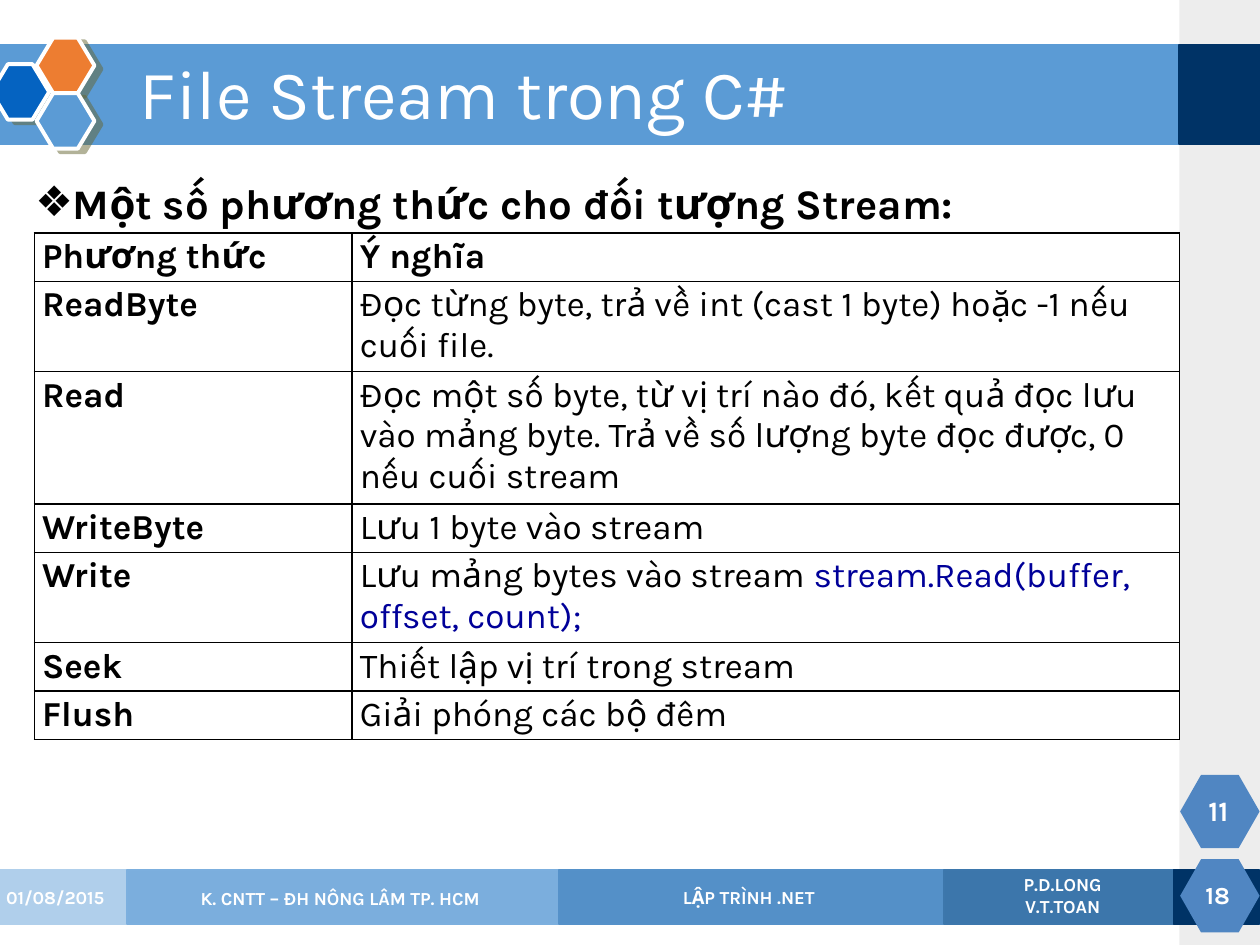
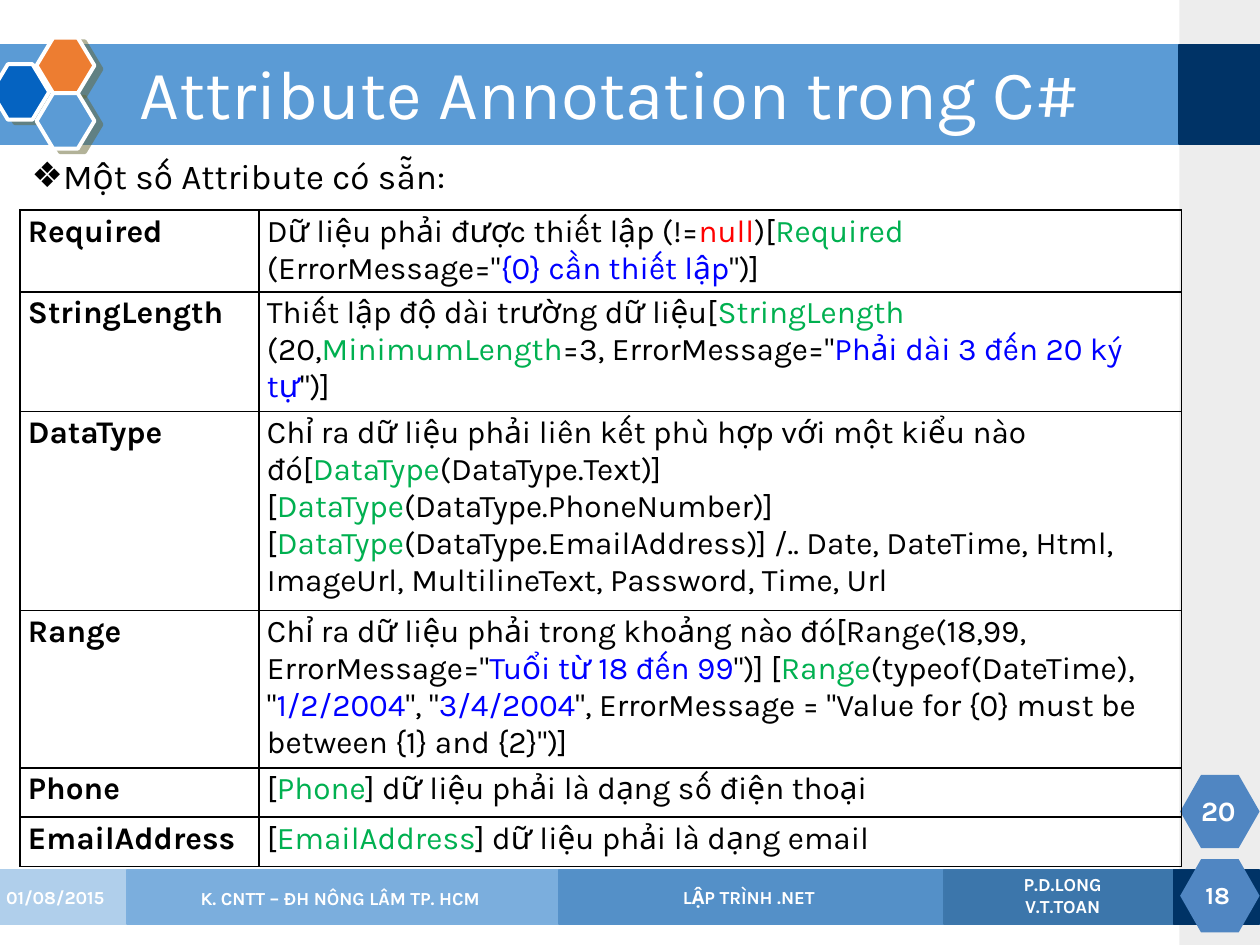
from lxml import etree
from pptx import Presentation
from pptx.dml.color import RGBColor
from pptx.enum.shapes import MSO_SHAPE
from pptx.enum.text import MSO_ANCHOR, MSO_AUTO_SIZE, PP_ALIGN
from pptx.oxml.ns import qn
from pptx.util import Pt

RECT = MSO_SHAPE.RECTANGLE
HEXAGON = MSO_SHAPE.HEXAGON
MIDDLE = MSO_ANCHOR.MIDDLE
TOP = MSO_ANCHOR.TOP
LEFT = PP_ALIGN.LEFT
CENTER = PP_ALIGN.CENTER
NO_AUTOFIT = MSO_AUTO_SIZE.NONE

FONT = "Karla"
WHITE = "FFFFFF"
BLACK = "000000"
BAND_BLUE = "5B9BD5"
NAVY = "003366"
BADGE_BLUE = "5086C2"
CALL_NAVY = "000099"
RED = "FF0000"
GREEN = "00B050"
BLUE = "0000FF"

BAND_TOP, BAND_HEIGHT = 25.5, 56.9
FOOTER_TOP, FOOTER_HEIGHT = 497.2, 30.8
SIDE_LEFT, SIDE_WIDTH = 673.9, 46.1

FOOTER_STRIPS = [
    (-1.4, 721.4, "7CAFDE", 60, "B0CFEB"),
    (72.7, 645.9, "478FD1", 50, "7CAFDE"),
    (319.4, 400.6, "2E74B4", 50, "5591C9"),
    (539.3, 180, "255D8F", 50, "3D77AC"),
]
LOGO_CELLS = [(-5, 36.7, "0563C1"), (20.9, 21.6, "ED7D31"), (20.9, 53.3, BAND_BLUE)]
BADGE_TOPS = [491, 442.8]

STREAM_METHODS = [
    ("Phương thức", "Ý nghĩa"),
    ("ReadByte", "Đọc từng byte, trả về int (cast 1 byte) hoặc -1 nếu cuối file."),
    ("Read", "Đọc một số byte, từ vị trí nào đó, kết quả đọc lưu vào mảng byte. "
             "Trả về số lượng byte đọc được, 0 nếu cuối stream"),
    ("WriteByte", "Lưu 1 byte vào stream"),
    ("Write", ["Lưu mảng bytes vào stream ",
               ("stream.Read(buffer, offset, count);", CALL_NAVY)]),
    ("Seek", "Thiết lập vị trí trong stream"),
    ("Flush", "Giải phóng các bộ đêm"),
]
ATTRIBUTES = [
    ("Required", ["Dữ liệu phải được thiết lập (!=", ("null", RED), ")[",
                  ("Required", GREEN), ' (ErrorMessage="',
                  ("{0} cần thiết lập", BLUE), '")]']),
    ("StringLength", ["Thiết lập độ dài trường dữ liệu[", ("StringLength", GREEN),
                      " (20,", ("MinimumLength", GREEN), '=3, ErrorMessage="',
                      ("Phải dài 3 đến 20 ký tự", BLUE), '")]']),
    ("DataType", ["Chỉ ra dữ liệu phải liên kết phù hợp với một kiểu nào đó[",
                  ("DataType", GREEN), "(DataType.Text)] [",
                  ("DataType", GREEN), "(DataType.PhoneNumber)] [",
                  ("DataType", GREEN),
                  "(DataType.EmailAddress)] /.. Date, DateTime, Html, ImageUrl, "
                  "MultilineText, Password, Time, Url"]),
    ("Range", ['Chỉ ra dữ liệu phải trong khoảng nào đó[Range(18,99, ErrorMessage="',
               ("Tuổi từ 18 đến 99", BLUE), '")] [', ("Range", GREEN),
               '(typeof(DateTime), "', ("1/2/2004", BLUE), '", "', ("3/4/2004", BLUE),
               '", ErrorMessage = "Value for {0} must be between {1} and {2}")]']),
    ("Phone", ["[", ("Phone", GREEN), "] dữ liệu phải là dạng số điện thoại"]),
    ("EmailAddress", ["[", ("EmailAddress", GREEN), "] dữ liệu phải là dạng email"]),
]


def rgb(color):
    return RGBColor.from_string(color)


def add_xml(parent, tag, **attributes):
    return etree.SubElement(parent, qn(tag), attributes)


def style_run(run, size, color, bold=False):
    run.font.name = FONT
    run.font.size = Pt(size)
    run.font.bold = bold
    run.font.color.rgb = rgb(color)


def add_block(slide, kind, box, color, alpha=None, outline=None, outline_width=1):
    block = slide.shapes.add_shape(kind, *map(Pt, box))
    block.shadow.inherit = False
    block.fill.solid()
    block.fill.fore_color.rgb = rgb(color)
    if alpha:
        tint = block.element.spPr.find(".//" + qn("a:srgbClr"))
        add_xml(tint, "a:alpha", val=str(alpha * 1000))
    if outline:
        block.line.color.rgb = rgb(outline)
        block.line.width = Pt(outline_width)
    else:
        block.line.fill.background()
    return block


def add_logo_cell(slide, left, top, color):
    cell = add_block(slide, HEXAGON, (left, top, 33.1, 31.7), color,
                     outline=WHITE, outline_width=2.25)
    cell.adjustments[0] = 0.3
    effects = cell.element.spPr.find(qn("a:effectLst"))
    shadow = add_xml(effects, "a:outerShdw", blurRad="0", dist=str(Pt(4.5)),
                     dir=str(27 * 60000), algn="ctr", rotWithShape="0")
    add_xml(add_xml(shadow, "a:srgbClr", val="666633"), "a:alpha", val="50000")


def add_label(slide, box, text, size=10.5, align=CENTER, anchor=MIDDLE):
    frame = slide.shapes.add_textbox(*map(Pt, box)).text_frame
    frame.word_wrap = True
    frame.vertical_anchor = anchor
    frame.text = text
    for paragraph in frame.paragraphs:
        paragraph.alignment = align
        for run in paragraph.runs:
            style_run(run, size, WHITE, True)


def draw_frame(slide):
    add_block(slide, RECT, (SIDE_LEFT, 0, SIDE_WIDTH, 540), "A7A7A7", alpha=20)
    for left, width, color, alpha, outline in FOOTER_STRIPS:
        add_block(slide, RECT, (left, FOOTER_TOP, width, FOOTER_HEIGHT), color, alpha, outline)
    add_block(slide, RECT, (-1.4, BAND_TOP, 675.3, BAND_HEIGHT), BAND_BLUE, outline=BAND_BLUE)
    add_block(slide, RECT, (SIDE_LEFT, BAND_TOP, SIDE_WIDTH, BAND_HEIGHT), NAVY, outline=NAVY)
    for left, top, color in LOGO_CELLS:
        add_logo_cell(slide, left, top, color)
    add_block(slide, RECT, (670.6, FOOTER_TOP, 49, FOOTER_HEIGHT), NAVY, outline=NAVY)
    for top in BADGE_TOPS:
        badge = add_block(slide, HEXAGON, (674.4, top, 45.4, 41.8), BADGE_BLUE)
        badge.adjustments[0] = 0.286
    add_label(slide, (679.7, 496.8, 32.4, 28.8), "18", size=14)
    add_label(slide, (543.9, 497.2, 126.7, 28.8), "P.D.LONG\nV.T.TOAN")
    add_label(slide, (321.4, 502.6, 213.1, 20.2), "LẬP TRÌNH .NET", anchor=TOP)


def move_frame_to_master(slide, master):
    tree = master.element.cSld.spTree
    parts = [shape for shape in slide.shapes if not shape.is_placeholder]
    for number, part in enumerate(parts, 100):
        part.element.nvSpPr.cNvPr.set("id", str(number))
        tree.append(part.element)


def place(placeholder, box):
    placeholder.left, placeholder.top, placeholder.width, placeholder.height = map(Pt, box)
    placeholder.text_frame.auto_size = NO_AUTOFIT


def fill_title(slide, text):
    title = slide.shapes.title
    place(title, (72.7, 28.4, 597.6, 54))
    title.text_frame.text = text
    title.text_frame.vertical_anchor = MIDDLE
    paragraph = title.text_frame.paragraphs[0]
    paragraph.alignment = LEFT
    paragraph.line_spacing = 0.9
    style_run(paragraph.runs[0], 39.6, WHITE)


def fill_lead(slide, text, box, size, bold, line_spacing, space_before):
    lead = slide.placeholders[1]
    place(lead, box)
    lead.text_frame.text = text
    paragraph = lead.text_frame.paragraphs[0]
    paragraph.line_spacing = line_spacing
    paragraph.space_before = Pt(space_before)
    style_run(paragraph.runs[0], size, BLACK, bold)
    properties = paragraph._p.get_or_add_pPr()
    properties.set("marL", str(Pt(18)))
    properties.set("indent", str(Pt(-18)))
    add_xml(properties, "a:buFont", typeface=FONT)
    add_xml(properties, "a:buChar", char="❖")


def border_cell(cell):
    properties = cell._tc.get_or_add_tcPr()
    for side in ("a:lnL", "a:lnR", "a:lnT", "a:lnB"):
        edge = add_xml(properties, side, w=str(Pt(1)))
        add_xml(add_xml(edge, "a:solidFill"), "a:srgbClr", val=BLACK)


def fill_cell(cell, content, size, bold):
    cell.margin_left = cell.margin_right = Pt(4.5)
    cell.margin_top = cell.margin_bottom = Pt(1.8)
    border_cell(cell)
    cell.fill.background()
    paragraph = cell.text_frame.paragraphs[0]
    for piece in [content] if isinstance(content, str) else content:
        text, color = (piece, BLACK) if isinstance(piece, str) else piece
        run = paragraph.add_run()
        run.text = text
        style_run(run, size, color, bold)


def add_glossary(slide, entries, left, top, columns, heights, size, header=False):
    table = slide.shapes.add_table(len(entries), 2, Pt(left), Pt(top),
                                   Pt(sum(columns)), Pt(sum(heights))).table
    table.first_row = table.horz_banding = False
    for column, width in zip(table.columns, columns):
        column.width = Pt(width)
    for index, (term, meaning) in enumerate(entries):
        table.rows[index].height = Pt(heights[index])
        fill_cell(table.cell(index, 0), term, size, True)
        fill_cell(table.cell(index, 1), meaning, size, header and index == 0)


def add_stamps(slide, page):
    add_label(slide, (-3.6, 498.2, 79.2, 28.8), "01/08/2015", align=LEFT)
    add_label(slide, (72.7, 499, 243.4, 28.8), "K. CNTT – ĐH NÔNG LÂM TP. HCM")
    add_label(slide, (674.6, 448.6, 43.2, 28.8), page, size=16)


def main():
    deck = Presentation()
    deck.slide_width, deck.slide_height = Pt(720), Pt(540)
    layout = deck.slide_layouts[1]

    streams = deck.slides.add_slide(layout)
    draw_frame(streams)
    move_frame_to_master(streams, deck.slide_master)
    fill_title(streams, "File Stream trong C#")
    fill_lead(streams, "Một số phương thức cho đối tượng Stream:",
              (13, 95, 658.1, 391.7), 24, True, 1.1, 6)
    add_stamps(streams, "11")
    add_glossary(streams, STREAM_METHODS, 19.6, 133.2, (181.6, 472.8),
                 (27.6, 51, 74.4, 27.6, 51, 27.6, 27.6), 20, header=True)

    attributes = deck.slides.add_slide(layout)
    fill_title(attributes, "Attribute Annotation trong C#")
    fill_lead(attributes, "Một số Attribute có sẵn:",
              (10.8, 87.4, 658.1, 401), 20, False, 0.9, 10)
    add_stamps(attributes, "20")
    add_glossary(attributes, ATTRIBUTES, 11.5, 120, (136.6, 527),
                 (46.8, 68, 113.6, 89.6, 28.2, 28.2), 18)

    deck.save("out.pptx")


if __name__ == "__main__":
    main()
